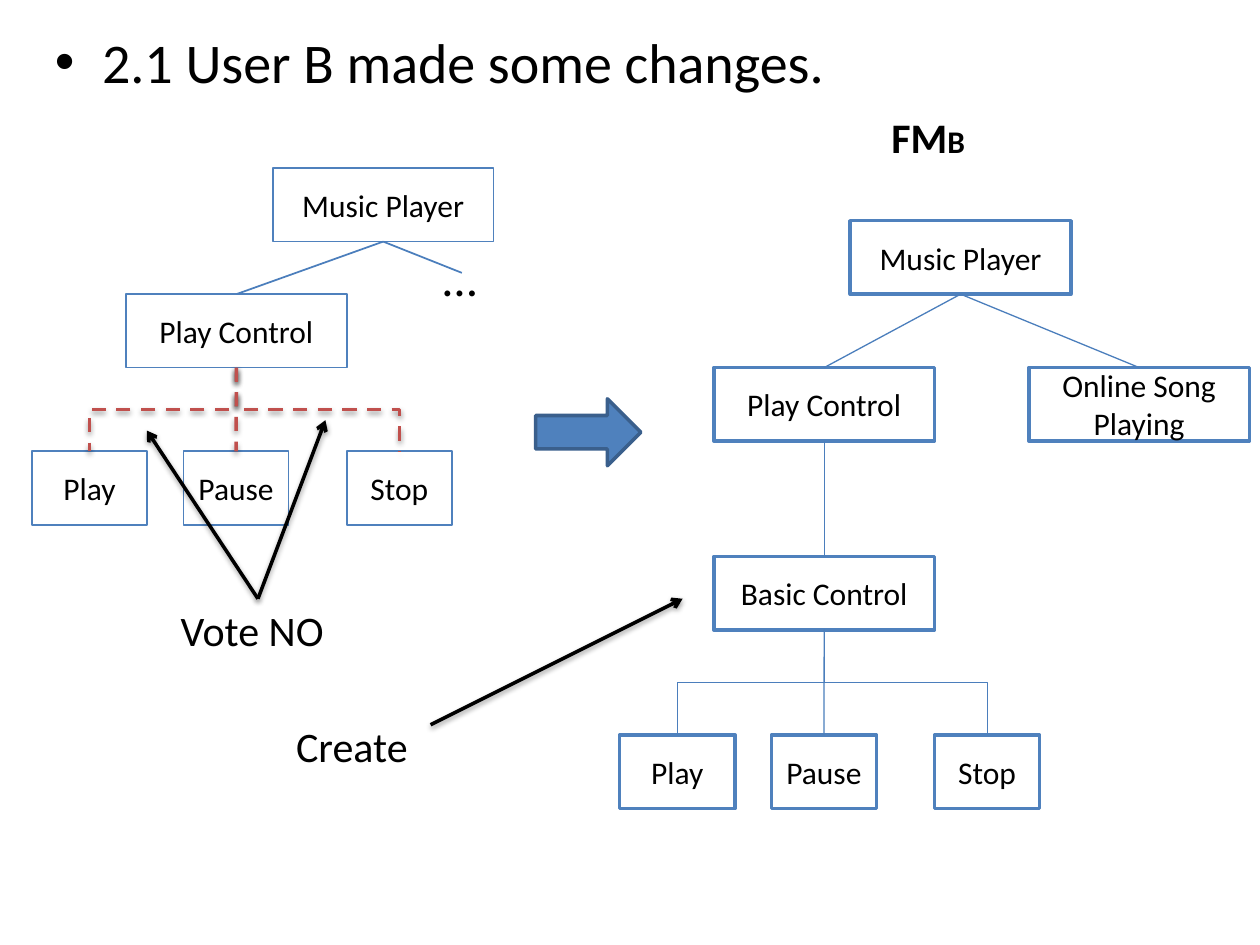
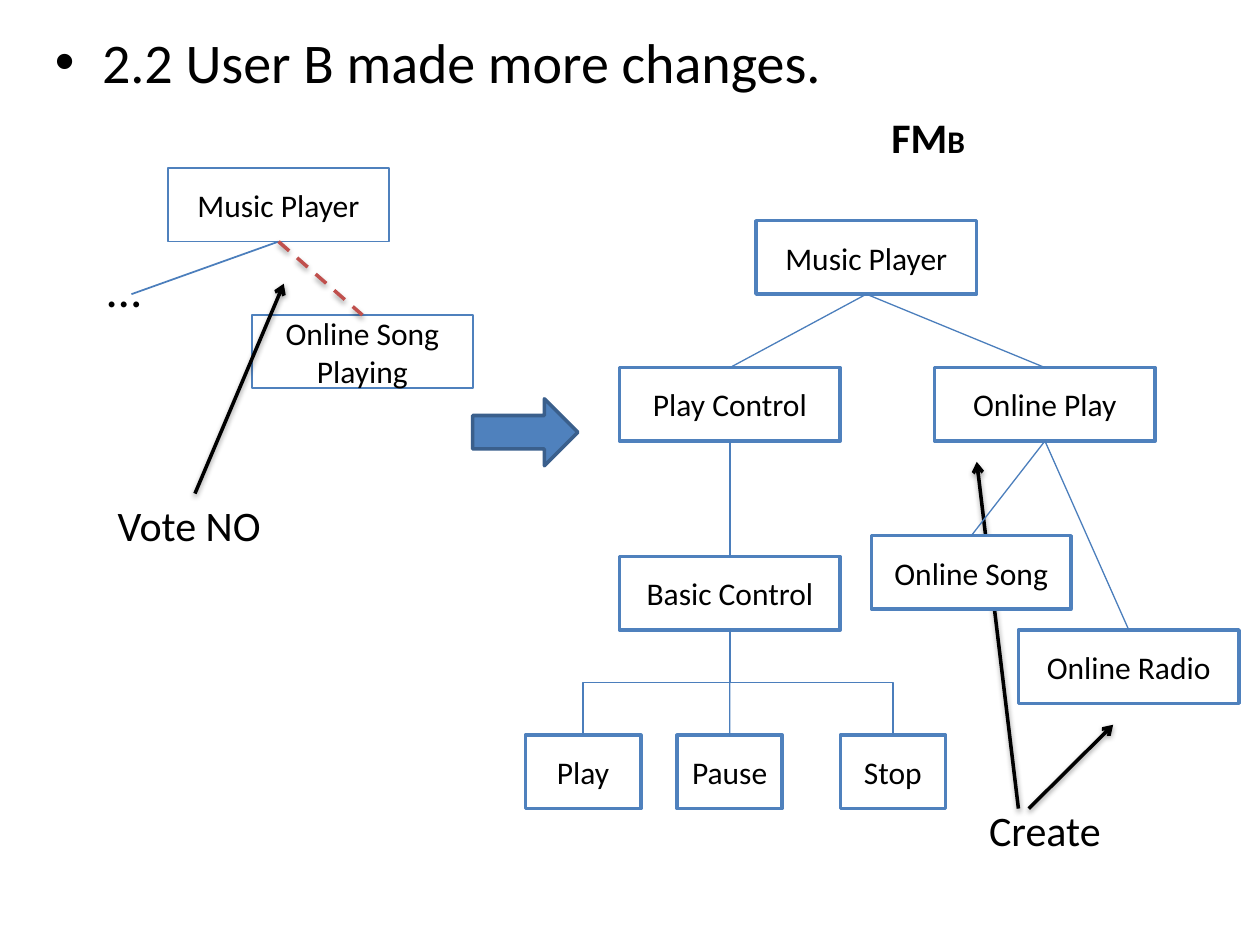
from collections import namedtuple

from lxml import etree
from pptx import Presentation
from pptx import util as u
from pptx.dml.color import RGBColor
from pptx.enum import dml, shapes, text
from pptx.oxml import ns

# Shared look
FONT = "Calibri"
BLACK, WHITE = "000000", "FFFFFF"
BLUE, DARK_BLUE, LINK_BLUE, RED = "4F81BD", "3A5F8C", "4B7EBC", "C0504D"
LineStyle = namedtuple("LineStyle", "color weight dashed shadow arrow")
THIN = LineStyle(LINK_BLUE, 0.75, False, False, False)
PLAIN = LineStyle(LINK_BLUE, 1, False, False, False)
REJECTED = LineStyle(RED, 2, True, True, False)
POINTER = LineStyle(BLACK, 2, False, True, True)

# Feature boxes, in centimetres
BOX_WIDTH, BOX_HEIGHT = 4.45, 1.48
TOP, BOTTOM = 0, 2  # connection sites of a rectangle
# Name, offset from the left edge of the parent, width
LEAVES = [("Play", -1.9, 2.33), ("Pause", 1.16, 2.12), ("Stop", 4.45, 2.12)]


def rgb(color):
    return RGBColor.from_string(color)


def format_run(run, size, bold=False):
    run.font.name = FONT
    run.font.size = u.Pt(size)
    run.font.bold = bold
    run.font.color.rgb = rgb(BLACK)


def set_outline(shape, color, weight):
    shape.line.color.rgb = rgb(color)
    shape.line.width = u.Pt(weight)


def fill_shape(shape, fill, outline, weight):
    shape.shadow.inherit = False
    shape.fill.solid()
    shape.fill.fore_color.rgb = rgb(fill)
    set_outline(shape, outline, weight)


# Text
def add_heading_slide(presentation, heading):
    slide = presentation.slides.add_slide(presentation.slide_layouts[1])
    title = slide.shapes.title
    title._element.getparent().remove(title._element)
    body = slide.placeholders[1]
    body.left, body.top = u.Cm(0.85), u.Cm(0.42)
    body.width, body.height = u.Cm(22.86), u.Cm(7.62)
    body.text_frame.text = heading
    format_run(body.text_frame.paragraphs[0].runs[0], 32)
    return slide


def add_label(slide, left, top, width, runs, bold=False):
    label = slide.shapes.add_textbox(u.Cm(left), u.Cm(top), u.Cm(width), u.Cm(1.27))
    label.text_frame.word_wrap = False
    paragraph = label.text_frame.paragraphs[0]
    for words, size in runs:
        run = paragraph.add_run()
        run.text = words
        format_run(run, size, bold)


# Boxes and block arrows
def add_feature(slide, name, left, top, width=BOX_WIDTH, weight=2):
    box = slide.shapes.add_shape(shapes.MSO_SHAPE.RECTANGLE, u.Cm(left), u.Cm(top),
                                 u.Cm(width), u.Cm(BOX_HEIGHT))
    fill_shape(box, WHITE, BLUE, weight)
    box.text_frame.text = name
    paragraph = box.text_frame.paragraphs[0]
    paragraph.alignment = text.PP_ALIGN.CENTER
    format_run(paragraph.runs[0], 18)
    return box


def add_block_arrow(slide, left):
    arrow = slide.shapes.add_shape(shapes.MSO_SHAPE.RIGHT_ARROW, u.Cm(left), u.Cm(8.04),
                                   u.Cm(2.12), u.Cm(1.35))
    fill_shape(arrow, BLUE, DARK_BLUE, 2)


# Lines
def style_line(connector, style):
    set_outline(connector, style.color, style.weight)
    if style.dashed:
        connector.line.dash_style = dml.MSO_LINE.DASH
    if style.arrow:
        etree.SubElement(connector.line._get_or_add_ln(), ns.qn("a:tailEnd"), type="arrow")
    effects = etree.SubElement(connector._element.spPr, ns.qn("a:effectLst"))
    if style.shadow:
        shadow = etree.SubElement(effects, ns.qn("a:outerShdw"), blurRad="40000",
                                  dist="20000", dir="5400000", rotWithShape="0")
        color = etree.SubElement(shadow, ns.qn("a:srgbClr"), val=BLACK)
        etree.SubElement(color, ns.qn("a:alpha"), val="38000")


def add_line(slide, start, end, style):
    ends = [u.Cm(value) for value in (*start, *end)]
    connector = slide.shapes.add_connector(shapes.MSO_CONNECTOR.STRAIGHT, *ends)
    style_line(connector, style)
    return connector


def add_branch(slide, parent, end, style):
    """Line from a feature to a free point."""
    add_line(slide, (0, 0), end, style).begin_connect(parent, BOTTOM)


def link(slide, parent, child, style=THIN, kind=shapes.MSO_CONNECTOR.STRAIGHT):
    connector = slide.shapes.add_connector(kind, 0, 0, 0, 0)
    connector.begin_connect(parent, BOTTOM)
    connector.end_connect(child, TOP)
    style_line(connector, style)
    return connector


def link_elbow(slide, parent, child, style):
    """Elbow that leaves the parent downwards: a turned horizontal elbow."""
    connector = link(slide, parent, child, style, shapes.MSO_CONNECTOR.ELBOW)
    start_x = parent.left + parent.width // 2
    end_x = child.left + child.width // 2
    start_y, end_y = parent.top + parent.height, child.top
    drop, shift = end_y - start_y, abs(end_x - start_x)
    connector.left = (start_x + end_x - drop) // 2
    connector.top = (start_y + end_y - shift) // 2
    connector.width, connector.height = drop, shift
    to_right = end_x > start_x
    frame = connector._element.spPr.find(ns.qn("a:xfrm"))
    frame.set("rot", "16200000" if to_right else "5400000")
    frame.set("flipH", "1" if to_right else "0")
    frame.set("flipV", "0")


# Trees
def add_leaves(slide, parent, top, weight, style):
    for name, offset, width in LEAVES:
        leaf = add_feature(slide, name, parent.left.cm + offset, top, width, weight)
        if name == "Pause":
            link(slide, parent, leaf, style)
        else:
            link_elbow(slide, parent, leaf, style)


def add_result_tree(slide, left, online_name):
    """Feature model of user B; returns its online branch."""
    add_label(slide, 17.72, 2.12, 6.47, [("FM", 24), ("B", 18)], bold=True)
    player = add_feature(slide, "Music Player", left + 2.75, 4.45)
    control = add_feature(slide, "Play Control", left, 7.41)
    online = add_feature(slide, online_name, left + 6.35, 7.41)
    basic = add_feature(slide, "Basic Control", left, 11.22)
    for parent, child in [(player, control), (player, online), (control, basic)]:
        link(slide, parent, child)
    add_leaves(slide, basic, 14.82, 2, THIN)
    return online


def build_first_changes(presentation):
    slide = add_heading_slide(presentation, "2.1 User B made some changes.")
    add_result_tree(slide, 14.39, "Online Song Playing")

    # Tree before the changes
    player = add_feature(slide, "Music Player", 5.5, 3.39, weight=1)
    control = add_feature(slide, "Play Control", 2.54, 5.93, weight=1)
    link(slide, player, control, PLAIN)
    add_branch(slide, player, (9.31, 5.5), PLAIN)
    add_label(slide, 8.68, 4.87, 1.19, [("…", 28)])
    add_leaves(slide, control, 9.1, 1, REJECTED)
    add_block_arrow(slide, 10.8)

    # Actions of the user
    add_label(slide, 3.39, 12.07, 3.61, [("Vote NO", 24)])
    for target in [(2.96, 8.68), (6.56, 8.47)]:
        add_line(slide, (5.2, 12.07), target, POINTER)
    add_label(slide, 5.72, 14.39, 2.79, [("Create", 24)])
    add_line(slide, (8.68, 14.61), (13.76, 12.07), POINTER)


def build_more_changes(presentation):
    slide = add_heading_slide(presentation, "2.2 User B made more changes.")
    online = add_result_tree(slide, 12.49, "Online Play")

    # Tree before the changes
    player = add_feature(slide, "Music Player", 3.39, 3.39, weight=1)
    playing = add_feature(slide, "Online Song Playing", 5.08, 6.35, weight=1)
    add_branch(slide, player, (2.65, 5.93), PLAIN)
    add_label(slide, 1.91, 5.08, 1.19, [("…", 28)])
    link(slide, player, playing, REJECTED)
    add_block_arrow(slide, 9.53)

    # Actions of the user
    add_label(slide, 2.12, 9.95, 3.61, [("Vote NO", 24)])
    add_line(slide, (3.93, 9.95), (5.72, 5.72), POINTER)
    add_label(slide, 19.69, 16.09, 2.79, [("Create", 24)])
    add_line(slide, (20.53, 16.3), (19.69, 9.31), POINTER)

    # New online features
    song = add_feature(slide, "Online Song", 17.57, 10.8, 4.02)
    radio = add_feature(slide, "Online Radio", 20.53, 12.7)
    for child in (song, radio):
        link(slide, online, child)
    add_line(slide, (20.74, 16.3), (22.44, 14.61), POINTER)


def main():
    presentation = Presentation()
    presentation.slide_width, presentation.slide_height = u.Cm(25.4), u.Cm(19.05)
    build_first_changes(presentation)
    build_more_changes(presentation)
    presentation.save("out.pptx")


if __name__ == "__main__":
    main()
